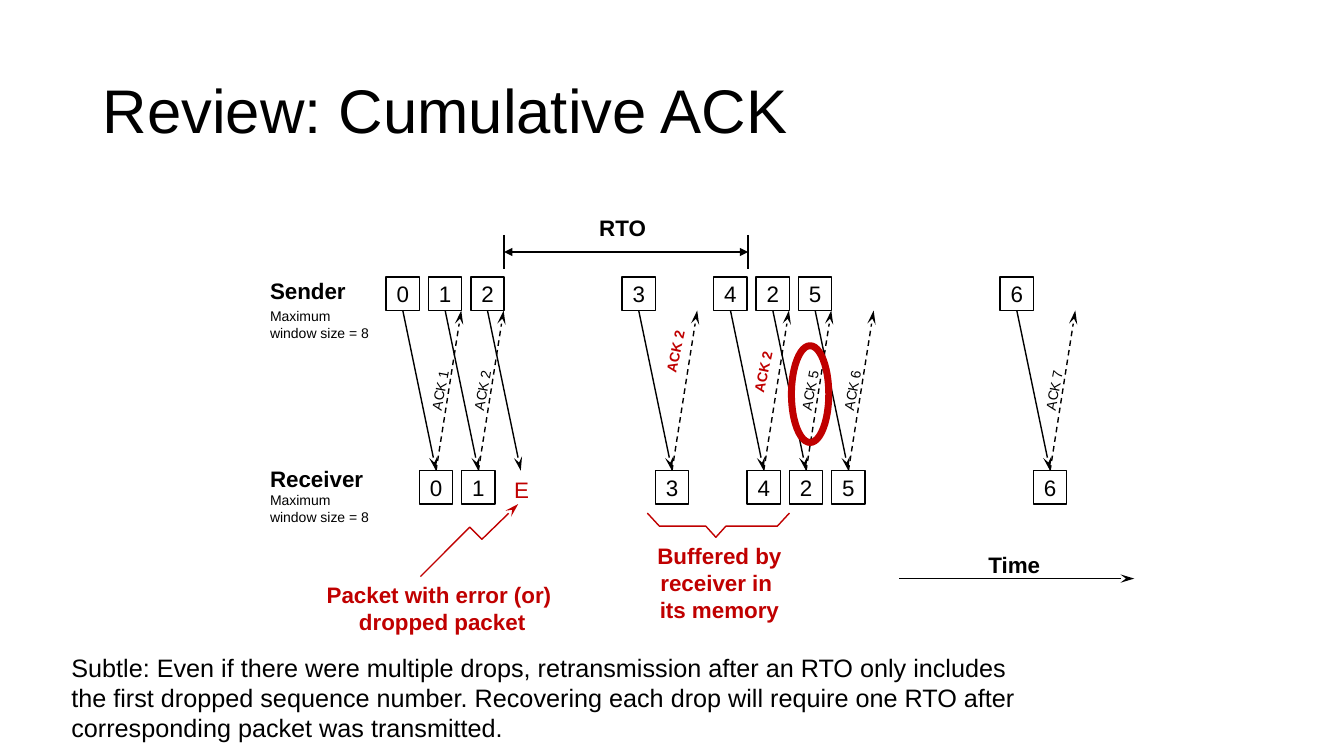
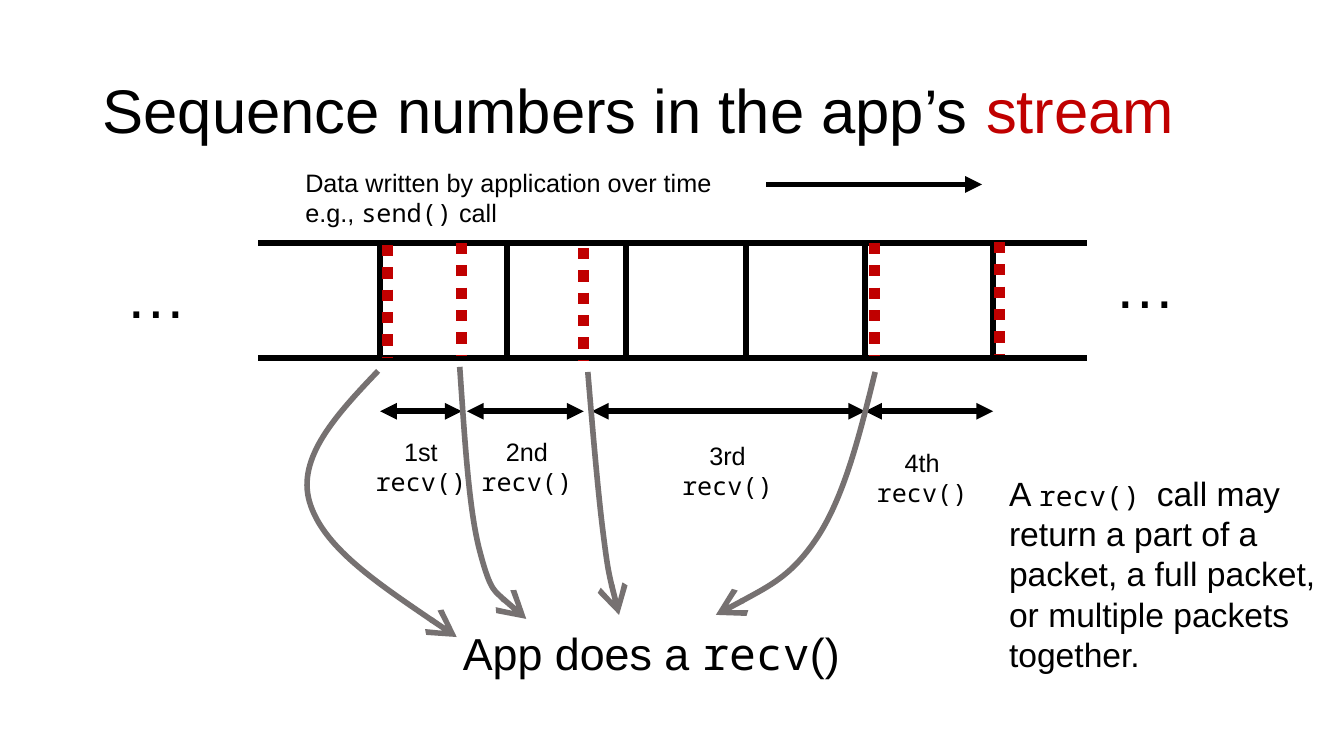
from lxml import etree
from pptx import Presentation
from pptx.dml.color import RGBColor
from pptx.enum.dml import MSO_LINE
from pptx.enum.shapes import MSO_CONNECTOR, MSO_SHAPE
from pptx.enum.text import MSO_ANCHOR, MSO_AUTO_SIZE, PP_ALIGN
from pptx.oxml.ns import qn
from pptx.util import Inches, Pt

BLACK = RGBColor(0x00, 0x00, 0x00)
WHITE = RGBColor(0xFF, 0xFF, 0xFF)
RED = RGBColor(0xC0, 0x00, 0x00)
GRAY = RGBColor(0x76, 0x71, 0x71)
SANS = "Arial"
MONO = "Noto Sans Mono"
LEFT, CENTER = PP_ALIGN.LEFT, PP_ALIGN.CENTER
MIDDLE = MSO_ANCHOR.MIDDLE
FIT_SHAPE = MSO_AUTO_SIZE.SHAPE_TO_FIT_TEXT
STRAIGHT = MSO_CONNECTOR.STRAIGHT
RECT, OVAL = MSO_SHAPE.RECTANGLE, MSO_SHAPE.OVAL
DASH, DOT = MSO_LINE.DASH, MSO_LINE.ROUND_DOT
TOP_SIDE, BOTTOM_SIDE = 0, 2
CELL = 0.33
# Width and length of each kind of arrowhead
HEAD_SIZES = {
    "triangle": {"w": "med", "len": "med"},
    "stealth": {"w": "med", "len": "lg"},
    "arrow": {"w": "lg", "len": "lg"},
}


# Shared helpers
def write(frame, paragraphs, size, color=BLACK, align=LEFT, bold=False):
    """Each paragraph is a string or a list of (text, font overrides)."""
    for index, content in enumerate(paragraphs):
        paragraph = frame.paragraphs[0] if index == 0 else frame.add_paragraph()
        paragraph.alignment = align
        runs = [(content, {})] if isinstance(content, str) else content
        for words, overrides in runs:
            values = {"name": SANS, "size": Pt(size), "bold": bold, "color": color, **overrides}
            run = paragraph.add_run()
            run.text = words
            run.font.color.rgb = values.pop("color")
            for attribute, value in values.items():
                setattr(run.font, attribute, value)


def add_text(slide, box, paragraphs, size, wrap=True, rotation=0, **style):
    label = slide.shapes.add_textbox(*map(Inches, box))
    label.rotation = rotation
    label.text_frame.word_wrap = wrap
    label.text_frame.auto_size = FIT_SHAPE
    write(label.text_frame, paragraphs, size, **style)


def style_line(shape, color, width, dash=None, head=None, tail=None):
    shape.line.color.rgb = color
    shape.line.width = Pt(width)
    if dash is not None:
        shape.line.dash_style = dash
    outline = shape.element.spPr.find(qn("a:ln"))
    for tag, kind in (("a:headEnd", head), ("a:tailEnd", tail)):
        if kind:
            etree.SubElement(outline, qn(tag), type=kind, **HEAD_SIZES[kind])


def add_line(slide, start, end, color=BLACK, width=1, **ends):
    line = slide.shapes.add_connector(STRAIGHT, *map(Inches, (*start, *end)))
    style_line(line, color, width, **ends)
    etree.SubElement(line.element.spPr, qn("a:effectLst"))
    return line


def add_path(slide, left, top, points, color, width, curved=False, tail=None):
    """Open outline; when curved, points after the first are cubic triples."""
    placed = [(Inches(left + x), Inches(top + y)) for x, y in points]
    builder = slide.shapes.build_freeform(*placed[0])
    builder.add_line_segments(placed[1:], close=False)
    outline = builder.convert_to_shape()
    outline.shadow.inherit = False
    outline.fill.background()
    style_line(outline, color, width, tail=tail)
    if curved:
        path = next(outline.element.iter(qn("a:path")))
        steps = path.findall(qn("a:lnTo"))
        for first in range(0, len(steps), 3):
            curve = etree.SubElement(path, qn("a:cubicBezTo"))
            for step in steps[first:first + 3]:
                curve.append(step[0])
                path.remove(step)


def add_shape(slide, kind, box, color, width, fill=None):
    shape = slide.shapes.add_shape(kind, *map(Inches, box))
    shape.shadow.inherit = False
    if fill is None:
        shape.fill.background()
    else:
        shape.fill.solid()
        shape.fill.fore_color.rgb = fill
    style_line(shape, color, width)
    return shape


def add_title(slide, runs):
    title = slide.shapes.add_textbox(*map(Inches, (0.92, 0.4, 11.5, 1.45)))
    title.text_frame.word_wrap = True
    title.text_frame.vertical_anchor = MIDDLE
    write(title.text_frame, [runs], 44)
    title.text_frame.paragraphs[0].line_spacing = 0.9


# Cumulative ACK slide
# Packet, sender offset, ACK label, label offset from the receiver cell, colour
PACKETS = [
    ("0", 0, "ACK 1", (-0.1, 0.98), BLACK),
    ("1", 0.42, "ACK 2", (-0.1, 0.98), BLACK),
    ("2", 0.84, None, None, None),
    ("3", 2.34, "ACK 2", (-0.15, 0.55), RED),
    ("4", 3.25, "ACK 2", (-0.19, 0.75), RED),
    ("2", 3.67, "ACK 5", (-0.1, 0.98), BLACK),
    ("5", 4.09, "ACK 6", (-0.1, 0.98), BLACK),
    ("6", 6.09, "ACK 7", (-0.1, 0.98), BLACK),
]


def add_packet(slide, left, top, number):
    cell = add_shape(slide, RECT, (left, top, CELL, CELL), BLACK, 1, WHITE)
    cell.text_frame.word_wrap = False
    cell.text_frame.vertical_anchor = MIDDLE
    write(cell.text_frame, [number], 16, align=CENTER)
    return cell


def add_exchange(slide, left, top):
    """Packets sent down and acknowledgements returned; rows are 1.92 apart."""
    sent_bottom, received_top = top + CELL, top + 1.92
    for number, offset, ack, ack_offset, ack_color in PACKETS:
        x = left + offset
        arrival = x + CELL
        middle = arrival + CELL / 2
        sent = add_packet(slide, x, top, number)
        flight = add_line(slide, (x + CELL / 2, sent_bottom), (middle, received_top), tail="stealth")
        flight.begin_connect(sent, BOTTOM_SIDE)
        if ack is None:
            add_text(slide, (arrival, received_top, 0.35, 0.37), ["E"], 16, wrap=False, color=RED)
            continue
        received = add_packet(slide, arrival, received_top, number)
        flight.end_connect(received, TOP_SIDE)
        reply = add_line(slide, (middle, received_top), (middle + 0.25, sent_bottom),
                         dash=DASH, tail="stealth")
        reply.begin_connect(received, TOP_SIDE)
        important = ack_color == RED
        label_width, angle = (0.72, 282.1) if important else (0.61, 280.6)
        dx, dy = ack_offset
        add_text(slide, (arrival + dx, top + dy, label_width, 0.27), [ack], 10, wrap=False,
                 rotation=angle, color=ack_color, bold=important)
    # Ring around ACK 5
    add_shape(slide, OVAL, (left + 4.02, top + 0.68, 0.37, 0.96), RED, 5)


def add_party(slide, left, top, name, window_gap):
    add_text(slide, (left, top, 1.13, 0.37), [name], 16, wrap=False, bold=True)
    add_text(slide, (left, top + window_gap, 1.18, 0.43),
             ["Maximum", "window size = 8"], 10, wrap=False)


def add_timeout(slide, left, top, width):
    add_text(slide, (left + 0.84, top, 0.67, 0.37), ["RTO"], 16, wrap=False,
             bold=True, align=CENTER)
    for x in (left, left + width):
        add_line(slide, (x, top + 0.25), (x, top + 0.59))
    add_line(slide, (left, top + 0.42), (left + width, top + 0.42),
             head="triangle", tail="triangle")


def add_loss_note(slide, left, top):
    add_path(slide, left + 1.13, top,
             [(0, 0.72), (0.49, 0.23), (0.61, 0.35), (0.97, 0)], RED, 1, tail="stealth")
    add_text(slide, (left, top + 0.72, 2.69, 0.64),
             ["Packet with error (or) ", "dropped packet"], 16,
             color=RED, bold=True, align=CENTER)


def add_buffer_note(slide, left, top):
    add_path(slide, left, top,
             [(0, 0), (0.12, 0.13), (0.58, 0.13), (0.68, 0.24), (0.78, 0.13),
              (1.29, 0.13), (1.41, 0)], RED, 1)
    add_text(slide, (left - 0.01, top + 0.24, 1.45, 0.91),
             ["Buffered by", "receiver in ", "its memory"], 16, wrap=False,
             color=RED, bold=True, align=CENTER)


def add_time_axis(slide, left, top, width):
    add_line(slide, (left, top), (left + width, top), tail="stealth")
    add_text(slide, (left + 0.78, top - 0.32, 0.72, 0.37), ["Time"], 16, wrap=False,
             bold=True, align=CENTER)


def build_ack_slide(slide):
    add_title(slide, [("Review: Cumulative ACK", {})])
    add_party(slide, 2.58, 2.7, "Sender", 0.3)
    add_party(slide, 2.58, 4.57, "Receiver", 0.26)
    add_timeout(slide, 5, 2.08, 2.42)
    add_exchange(slide, 3.83, 2.75)
    add_loss_note(slide, 3.04, 5)
    add_buffer_note(slide, 6.42, 5.09)
    add_time_axis(slide, 8.92, 5.74, 2.33)
    add_text(slide, (0.61, 6.42, 9.64, 1.01), [
        "Subtle: Even if there were multiple drops, retransmission after an RTO only "
        "includes the first dropped sequence number. Recovering each drop will require "
        "one RTO after corresponding packet was transmitted."], 18)


# Stream slide; offsets are from the top left of the stream band
PACKET_EDGES = [1.21, 2.47, 3.65, 4.84, 6.02, 7.29]
READ_EDGES = [(1.28, 0.02), (2.02, 0), (3.23, 0.05), (6.11, 0), (7.35, -0.01)]
# Ordinal, span start, span end, label offset
READS = [
    ("1st ", 1.21, 2.02, (1.02, 1.87)),
    ("2nd ", 2.07, 3.23, (2.07, 1.87)),
    ("3rd ", 3.31, 6.02, (4.06, 1.91)),
    ("4th ", 6.02, 7.29, (5.99, 1.98)),
]
READ_CURVES = [
    [(1.19, 1.27), (0.78, 1.7), (0.38, 2.13), (0.51, 2.57),
     (0.64, 3.01), (1.3, 3.46), (1.97, 3.91)],
    [(2, 1.23), (2.05, 1.94), (2.09, 2.65), (2.2, 3.06),
     (2.31, 3.48), (2.49, 3.6), (2.66, 3.73)],
    [(3.27, 1.28), (3.32, 1.87), (3.37, 2.46), (3.42, 2.86),
     (3.47, 3.26), (3.52, 3.48), (3.58, 3.69)],
    [(6.12, 1.28), (5.97, 1.89), (5.82, 2.49), (5.56, 2.9),
     (5.3, 3.3), (4.92, 3.49), (4.54, 3.69)],
]


def add_stream(slide, left, top, width, height):
    for y in (top, top + height):
        add_line(slide, (left, y), (left + width, y), width=4)
    for offset in PACKET_EDGES:
        add_line(slide, (left + offset, top), (left + offset, top + height), width=4)
    for dx, dy in READ_EDGES:
        x, y = left + dx, top + dy
        add_line(slide, (x, y), (x, y + 1.12), RED, 8, dash=DOT)
    for x, y in ((left - 1.41, top + 0.09), (left + 8.4, top - 0.01)):
        add_text(slide, (x, y, 1.22, 0.84), ["…"], 44)


def add_reads(slide, left, top):
    for ordinal, start, end, (dx, dy) in READS:
        add_line(slide, (left + start, top + 1.67), (left + end, top + 1.67),
                 width=4, head="triangle", tail="triangle")
        add_text(slide, (left + dx, top + dy, 1.19, 0.71),
                 [[(ordinal, {}), ("recv()", {"name": MONO})]], 18, align=CENTER)
    for points in READ_CURVES:
        add_path(slide, left, top, points, GRAY, 4, curved=True, tail="arrow")


def add_write_note(slide, left, top):
    add_text(slide, (left, top, 5.76, 1.01),
             ["Data written by application over time",
              [("e.g., ", {}), ("send()", {"name": MONO}), (" call", {})]], 18)
    add_line(slide, (left + 4.67, top + 0.22), (left + 6.81, top + 0.22),
             width=4, tail="triangle")


def build_stream_slide(slide):
    add_title(slide, [("Sequence numbers in the app’s ", {}), ("stream", {"color": RED})])
    add_stream(slide, 2.56, 2.41, 8.22, 1.14)
    add_write_note(slide, 2.93, 1.61)
    add_reads(slide, 2.56, 2.41)
    add_text(slide, (4.17, 6.16, 4.58, 0.64),
             [[("App does a ", {}), ("recv", {"name": MONO}), ("()", {})]], 32, align=CENTER)
    add_text(slide, (9.91, 4.64, 3.4, 2.12),
             [[("A ", {}), ("recv() ", {"name": MONO, "size": Pt(20)}),
               ("call may return a part of a packet, a full packet, "
                "or multiple packets together.", {})]], 24)


def main():
    deck = Presentation()
    deck.slide_width, deck.slide_height = Inches(13.33), Inches(7.5)
    blank = deck.slide_layouts[6]
    for build in (build_ack_slide, build_stream_slide):
        build(deck.slides.add_slide(blank))
    deck.save("out.pptx")


if __name__ == "__main__":
    main()
